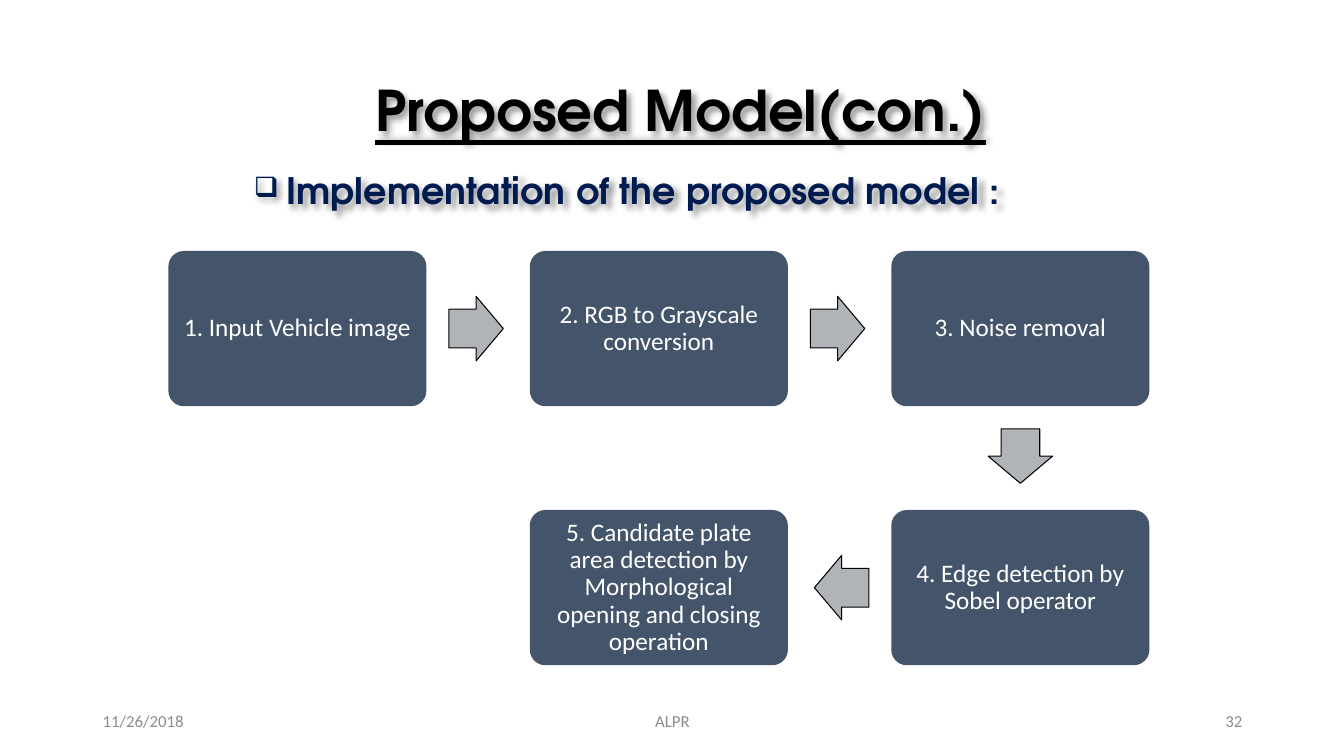
from lxml import etree
from pptx import Presentation
from pptx.dml.color import RGBColor
from pptx.enum.shapes import MSO_SHAPE
from pptx.enum.text import MSO_ANCHOR, PP_ALIGN
from pptx.oxml import parse_xml
from pptx.oxml.ns import nsdecls, qn
from pptx.util import Inches, Pt

BLACK = RGBColor(0x00, 0x00, 0x00)
WHITE = RGBColor(0xFF, 0xFF, 0xFF)
NAVY = RGBColor(0x00, 0x1B, 0x50)
SLATE = RGBColor(0x44, 0x54, 0x6A)
SILVER = RGBColor(0xB0, 0xB4, 0xB9)
GREY = RGBColor(0x8C, 0x8C, 0x8C)

DISPLAY, BODY = "TeX Gyre Adventor", "Calibri"
TITLE = "Proposed Model(con.)"
HEADING = "Implementation of the proposed model :"
# Step text with its column and row in the flow
STEPS = [
    ("1. Input Vehicle image", 0, 0),
    ("2. RGB to Grayscale conversion", 1, 0),
    ("3. Noise removal", 2, 0),
    ("4. Edge detection by Sobel operator", 2, 1),
    ("5. Candidate plate area detection by Morphological opening and closing operation", 1, 1),
]
# Text, left, width, alignment
FOOTERS = [
    ("11/26/2018", 0.92, 3, PP_ALIGN.LEFT),
    ("ALPR", 4.42, 4.5, PP_ALIGN.CENTER),
    ("32", 9.42, 3, PP_ALIGN.RIGHT),
]

FLOW_LEFT, FLOW_TOP = 1.67, 2.49
STEP_W, STEP_H = 2.56, 1.54
COLUMN, ROW = 3.585, 2.57
ARROW_W, ARROW_H = 0.54, 0.64
ARROW_SETBACK = 0.02
ROTATION = {(1, 0): 0, (0, 1): 90, (-1, 0): 180}


def write(shape, text, align, anchor=MSO_ANCHOR.MIDDLE, spacing=None, **font):
    """Put one formatted paragraph in the shape and return it."""
    frame = shape.text_frame
    frame.word_wrap = True
    frame.vertical_anchor = anchor
    paragraph = frame.paragraphs[0]
    paragraph.alignment = align
    paragraph.line_spacing = spacing
    run = paragraph.add_run()
    run.text = text
    run.font.color.rgb = font.pop("color")
    for name, value in font.items():
        setattr(run.font, name, value)
    return paragraph


def add_text(slide, box, *args, **formats):
    shape = slide.shapes.add_textbox(*map(Inches, box))
    return shape, write(shape, *args, **formats)


def add_soft_shadow(shape, opacity):
    shape._element.spPr.append(parse_xml(
        f'<a:effectLst {nsdecls("a")}><a:outerShdw blurRad="50800" dist="38100" '
        'dir="2700000" algn="tl" rotWithShape="0"><a:prstClr val="black">'
        f'<a:alpha val="{opacity * 1000}"/></a:prstClr></a:outerShdw></a:effectLst>'))


def add_bullet(paragraph, character, size_percent, left, hanging):
    properties = paragraph._p.get_or_add_pPr()
    properties.set("marL", str(Inches(left)))
    properties.set("indent", str(-Inches(hanging)))
    etree.SubElement(properties, qn("a:buSzPct")).set("val", str(size_percent * 1000))
    etree.SubElement(properties, qn("a:buChar")).set("char", character)


def add_step(slide, text, column, row):
    left, top = FLOW_LEFT + column * COLUMN, FLOW_TOP + row * ROW
    step = slide.shapes.add_shape(
        MSO_SHAPE.ROUNDED_RECTANGLE, *map(Inches, (left, top, STEP_W, STEP_H)))
    step.adjustments[0] = 0.1
    step.shadow.inherit = False
    step.fill.solid()
    step.fill.fore_color.rgb = SLATE
    step.line.fill.background()
    for side in ("left", "top", "right", "bottom"):
        setattr(step.text_frame, f"margin_{side}", Inches(0.07))
    write(step, text, PP_ALIGN.CENTER, spacing=0.9,
          size=Pt(18), name=BODY, color=WHITE)


def add_arrow(slide, start, end):
    """Place an arrow between two neighbouring grid cells."""
    (column, row), (next_column, next_row) = start, end
    across, down = next_column - column, next_row - row
    center_x = (FLOW_LEFT + STEP_W / 2 + (column + next_column) / 2 * COLUMN
                - across * ARROW_SETBACK)
    center_y = (FLOW_TOP + STEP_H / 2 + (row + next_row) / 2 * ROW
                - down * ARROW_SETBACK)
    arrow = slide.shapes.add_shape(MSO_SHAPE.RIGHT_ARROW, *map(Inches, (
        center_x - ARROW_W / 2, center_y - ARROW_H / 2, ARROW_W, ARROW_H)))
    arrow.adjustments[0], arrow.adjustments[1] = 0.6, 0.5
    arrow.rotation = ROTATION[across, down]
    arrow.shadow.inherit = False
    arrow.fill.solid()
    arrow.fill.fore_color.rgb = SILVER
    arrow.line.color.rgb = BLACK
    arrow.line.width = Pt(0.75)


def main():
    deck = Presentation()
    deck.slide_width, deck.slide_height = Inches(13.33), Inches(7.5)
    slide = deck.slides.add_slide(deck.slide_layouts[6])

    title, _ = add_text(slide, (1, 0.4, 11.5, 1.45), TITLE, PP_ALIGN.CENTER, spacing=0.9,
                        size=Pt(40), name=DISPLAY, bold=True, underline=True, color=BLACK)
    add_soft_shadow(title, 40)
    heading, paragraph = add_text(slide, (0.92, 1.67, 11.5, 0.6), HEADING, PP_ALIGN.LEFT,
                                  anchor=MSO_ANCHOR.TOP, spacing=0.9,
                                  size=Pt(26), name=DISPLAY, bold=True, color=NAVY)
    add_bullet(paragraph, "❑", 77, left=1.82, hanging=0.32)
    add_soft_shadow(heading, 40)

    for text, left, width, align in FOOTERS:
        add_text(slide, (left, 6.95, width, 0.4), text, align,
                 size=Pt(12), name=BODY, color=GREY)

    for step in STEPS:
        add_step(slide, *step)
    for (_, *start), (_, *end) in zip(STEPS, STEPS[1:]):
        add_arrow(slide, start, end)

    deck.save("out.pptx")


if __name__ == "__main__":
    main()
